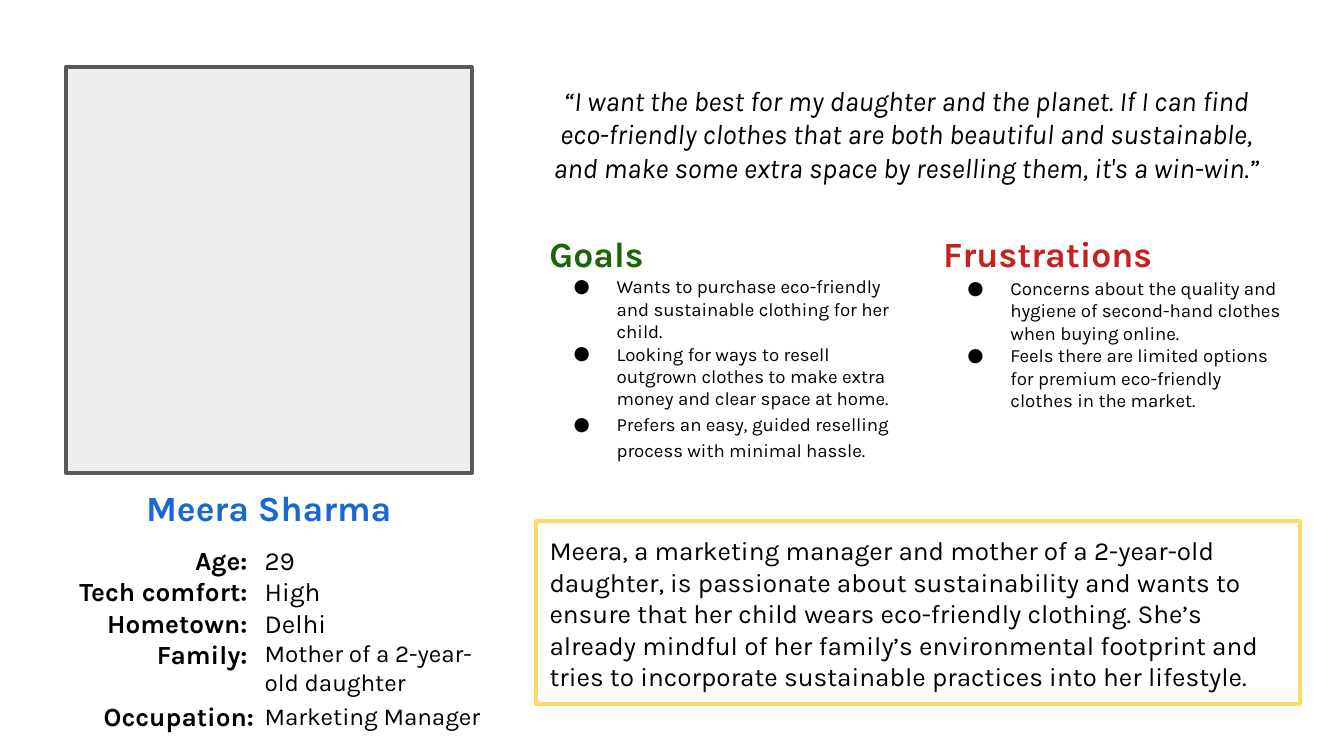
"""Build a one-slide user persona with portrait frame, facts, quote, goals and story."""
from lxml.etree import SubElement
from pptx import Presentation
from pptx.dml.color import RGBColor
from pptx.enum.shapes import MSO_SHAPE as Shape
from pptx.enum.text import MSO_ANCHOR as Anchor, PP_ALIGN as Align
from pptx.oxml.ns import qn
from pptx.util import Inches, Pt

BLACK = RGBColor(0x00, 0x00, 0x00)
BLUE = RGBColor(0x19, 0x67, 0xD2)
GREEN = RGBColor(0x19, 0x67, 0x02)
RED = RGBColor(0xC5, 0x22, 0x1F)
YELLOW = RGBColor(0xFF, 0xD9, 0x66)
GREY = RGBColor(0x59, 0x59, 0x59)
PALE = RGBColor(0xEE, 0xEE, 0xEE)
FONT = "Karla"

NAME = "Meera Sharma"
FACTS = [
    ("Age: ", "29", 14),
    ("Tech comfort: ", "High", 14),
    ("Hometown: ", "Delhi", 14),
    ("Family: ", "Mother of a 2-year-old daughter", 13),
    ("Occupation:", "Marketing Manager", 13),
]
QUOTE = (
    "“I want the best for my daughter and the planet. If I can find eco-friendly clothes "
    "that are both beautiful and sustainable, and make some extra space by reselling them, "
    "it's a win-win.”"
)
LISTS = [
    ("Goals", GREEN, 0, [
        ("Wants to purchase eco-friendly and sustainable clothing for her child.", 1),
        ("Looking for ways to resell outgrown clothes to make extra money and clear space at home.", 1),
        ("Prefers an easy, guided reselling process with minimal hassle.", 1.15),
    ]),
    ("Frustrations", RED, 1, [
        ("Concerns about the quality and hygiene of second-hand clothes when buying online.", 1),
        ("Feels there are limited options for premium eco-friendly clothes in the market.", 1),
    ]),
]
STORY = (
    "Meera, a marketing manager and mother of a 2-year-old daughter, is passionate about "
    "sustainability and wants to ensure that her child wears eco-friendly clothing. She’s "
    "already mindful of her family’s environmental footprint and tries to incorporate "
    "sustainable practices into her lifestyle."
)

LEFT, TOP, PORTRAIT = 0.49, 0.5, 3.02
FACTS_TOP, FACTS_HEIGHT = 3.95, 1.33
RIGHT, RIGHT_WIDTH = 3.99, 5.68
LIST_TOP, LIST_WIDTH, LIST_HEIGHT = 1.63, 2.76, 2.11
LIST_STEP = 2.93


def set_up_frame(shape, anchor=Anchor.TOP):
    frame = shape.text_frame
    frame.word_wrap = True
    frame.vertical_anchor = anchor
    frame.margin_left = frame.margin_right = Inches(0.1)
    frame.margin_top = frame.margin_bottom = Inches(0.1)
    return frame


def add_text(slide, left, top, width, height, anchor=Anchor.TOP):
    box = slide.shapes.add_textbox(Inches(left), Inches(top), Inches(width), Inches(height))
    return set_up_frame(box, anchor)


def add_frame(slide, left, top, width, height, line):
    box = slide.shapes.add_shape(
        Shape.RECTANGLE, Inches(left), Inches(top), Inches(width), Inches(height))
    box.shadow.inherit = False
    box.fill.background()
    box.line.color.rgb = line
    box.line.width = Pt(2.25)
    return box


def write(frame, text, size, color=BLACK, bold=False, italic=False, align=Align.LEFT):
    first = frame.paragraphs[0]
    para = frame.add_paragraph() if first.runs else first
    para.text = text
    para.alignment = align
    font = para.runs[0].font
    font.name, font.size, font.bold, font.italic = FONT, Pt(size), bold, italic
    font.color.rgb = color
    return para


def add_bullet(para):
    props = para._p.get_or_add_pPr()
    props.set("marL", str(Inches(0.5)))
    props.set("indent", str(Inches(-0.32)))
    SubElement(props, qn("a:buFont")).set("typeface", FONT)
    SubElement(props, qn("a:buChar")).set("char", "●")


def add_facts(slide):
    labels = add_text(slide, 0.35, FACTS_TOP, 1.64, FACTS_HEIGHT)
    values = add_text(slide, 1.87, FACTS_TOP, 1.99, FACTS_HEIGHT)
    for label, value, size in FACTS:
        label_para = write(labels, label, 14, bold=True, align=Align.RIGHT)
        value_para = write(values, value, size)
    label_para.space_before = Pt(16.4)
    value_para.space_before = Pt(2.3)


def add_lists(slide):
    for column, (title, color, gap, items) in enumerate(LISTS):
        frame = add_text(slide, RIGHT + column * LIST_STEP, LIST_TOP, LIST_WIDTH, LIST_HEIGHT)
        write(frame, title, 19, color, bold=True).space_after = Pt(gap)
        for item, spacing in items:
            para = write(frame, item, 10)
            para.line_spacing = spacing
            add_bullet(para)


def main():
    deck = Presentation()
    deck.slide_width = Inches(10)
    deck.slide_height = deck.slide_width * 9 // 16
    slide = deck.slides.add_slide(deck.slide_layouts[6])

    portrait = add_frame(slide, LEFT, TOP, PORTRAIT, PORTRAIT, GREY)
    portrait.fill.solid()
    portrait.fill.fore_color.rgb = PALE
    name = add_text(slide, LEFT, TOP + PORTRAIT, PORTRAIT, 0.52)
    write(name, NAME, 19, BLUE, bold=True, align=Align.CENTER)
    add_facts(slide)

    quote = add_text(slide, RIGHT, TOP, 5.51, 0.99, Anchor.MIDDLE)
    write(quote, QUOTE, 15, italic=True, align=Align.CENTER)
    add_lists(slide)
    story = add_frame(slide, RIGHT, 3.88, RIGHT_WIDTH, 1.36, YELLOW)
    write(set_up_frame(story), STORY, 14)

    deck.save("out.pptx")


if __name__ == "__main__":
    main()
